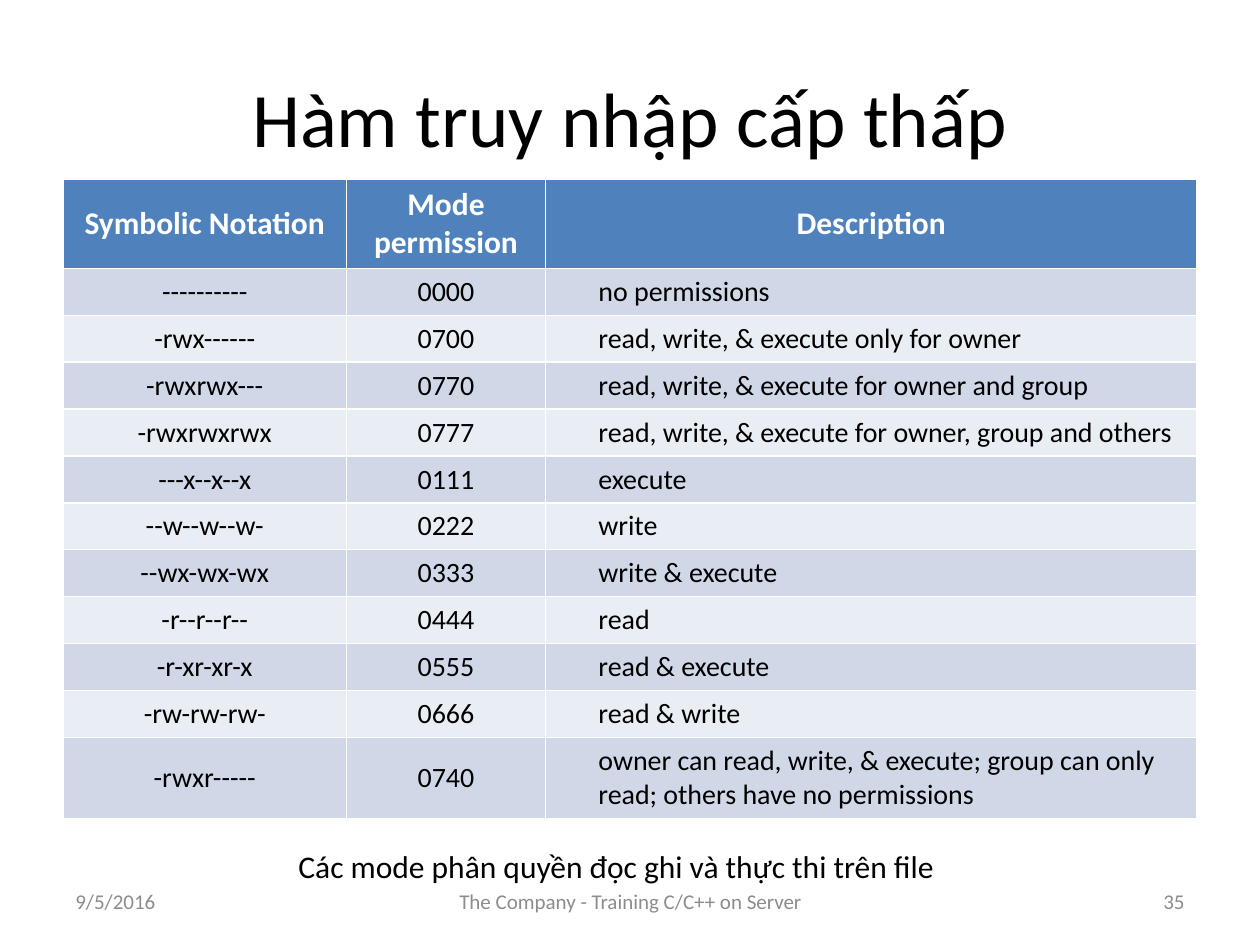
import pptx
import pptx.util
import pptx.dml.color
import pptx.enum.text

Inches = pptx.util.Inches
Pt = pptx.util.Pt
RGBColor = pptx.dml.color.RGBColor
Align = pptx.enum.text.PP_ALIGN
MIDDLE = pptx.enum.text.MSO_ANCHOR.MIDDLE
TOP = pptx.enum.text.MSO_ANCHOR.TOP

FONT = "Calibri"
BLACK = RGBColor(0x00, 0x00, 0x00)
WHITE = RGBColor(0xFF, 0xFF, 0xFF)
GRAY = RGBColor(0x8C, 0x8C, 0x8C)
BLUE = RGBColor(0x4F, 0x81, 0xBD)
BANDS = (RGBColor(0xE9, 0xED, 0xF4), RGBColor(0xD0, 0xD8, 0xE8))

TITLE = "Hàm truy nhập cấp thấp"
ROWS = [
    ("Symbolic Notation", "Mode permission", "Description"),
    ("----------", "0000", "no permissions"),
    ("-rwx------", "0700", "read, write, & execute only for owner"),
    ("-rwxrwx---", "0770", "read, write, & execute for owner and group"),
    ("-rwxrwxrwx", "0777", "read, write, & execute for owner, group and others"),
    ("---x--x--x", "0111", "execute"),
    ("--w--w--w-", "0222", "write"),
    ("--wx-wx-wx", "0333", "write & execute"),
    ("-r--r--r--", "0444", "read"),
    ("-r-xr-xr-x", "0555", "read & execute"),
    ("-rw-rw-rw-", "0666", "read & write"),
    ("-rwxr-----", "0740",
     "owner can read, write, & execute; group can only read; others have no permissions"),
]
WIDTHS = (2.25, 1.58, 5.17)
HEIGHTS = [0.7] + [0.37] * (len(ROWS) - 2) + [0.64]
NOTES = [
    ("Các mode phân quyền đọc ghi và thực thi trên file",
     (2.27, 6.67, 5.31, 0.4), 18, BLACK, Align.LEFT, TOP, False),
    ("9/5/2016", (0.5, 6.95, 2.33, 0.4), 12, GRAY, Align.LEFT, MIDDLE, True),
    ("35", (7.17, 6.95, 2.33, 0.4), 12, GRAY, Align.RIGHT, MIDDLE, True),
    ("The Company - Training C/C++ on Server",
     (3.42, 6.95, 3.17, 0.4), 12, GRAY, Align.CENTER, MIDDLE, True),
]


def write(frame, text, size, color, align, bold=False):
    frame.text = text
    para = frame.paragraphs[0]
    para.alignment = align
    font = para.font
    font.name, font.size, font.bold = FONT, Pt(size), bold
    font.color.rgb = color


def add_title(slide):
    title = slide.shapes.title
    title.left, title.top = Inches(0.5), Inches(0.3)
    title.width, title.height = Inches(9), Inches(1.25)
    title.text_frame.vertical_anchor = MIDDLE
    write(title.text_frame, TITLE, 44, BLACK, Align.CENTER)


def add_modes(slide):
    table = slide.shapes.add_table(
        len(ROWS), len(WIDTHS), Inches(0.5), Inches(1.42),
        Inches(sum(WIDTHS)), Inches(sum(HEIGHTS))).table
    for col, width in zip(table.columns, WIDTHS):
        col.width = Inches(width)
    for r, (row, height) in enumerate(zip(ROWS, HEIGHTS)):
        table.rows[r].height = Inches(height)
        head = r == 0
        for c, text in enumerate(row):
            cell = table.cell(r, c)
            cell.fill.solid()
            cell.fill.fore_color.rgb = BLUE if head else BANDS[r % 2]
            cell.vertical_anchor = MIDDLE
            left = c == 2 and not head
            if left:
                cell.margin_left = Inches(0.42)
            write(cell.text_frame, text, 18 if head else 16,
                  WHITE if head else BLACK,
                  Align.LEFT if left else Align.CENTER, head)


def add_note(slide, text, box, size, color, align, anchor, wrap):
    frame = slide.shapes.add_textbox(*map(Inches, box)).text_frame
    frame.word_wrap = wrap
    frame.vertical_anchor = anchor
    write(frame, text, size, color, align)


def main():
    deck = pptx.Presentation()
    deck.slide_width, deck.slide_height = Inches(10), Inches(7.5)
    slide = deck.slides.add_slide(deck.slide_layouts[5])
    add_title(slide)
    add_modes(slide)
    for note in NOTES:
        add_note(slide, *note)
    deck.save("out.pptx")


if __name__ == "__main__":
    main()
